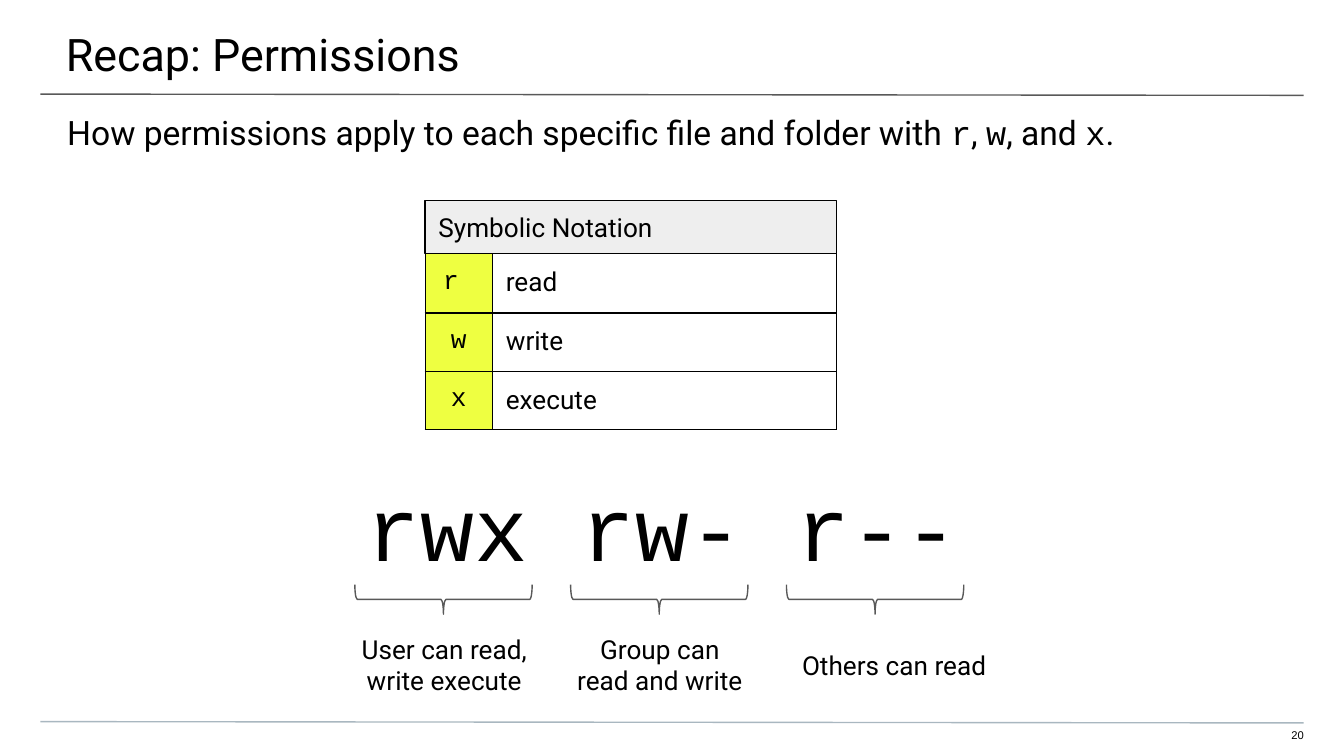
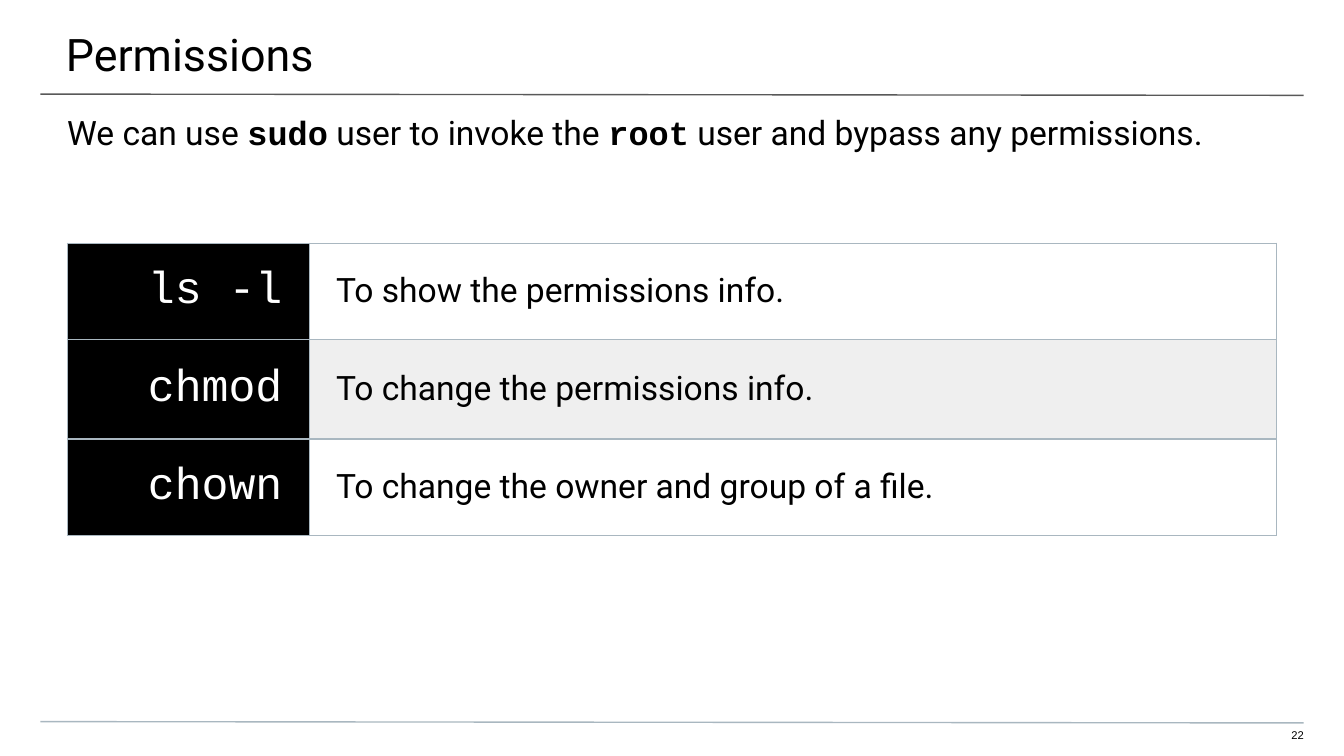
from dataclasses import dataclass

from lxml import etree
from pptx import Presentation
from pptx.dml.color import RGBColor
from pptx.enum.shapes import MSO_CONNECTOR, MSO_SHAPE
from pptx.enum.text import MSO_ANCHOR, PP_ALIGN
from pptx.oxml.ns import qn
from pptx.util import Pt

LEFT, CENTER, RIGHT = PP_ALIGN.LEFT, PP_ALIGN.CENTER, PP_ALIGN.RIGHT
TOP, MIDDLE = MSO_ANCHOR.TOP, MSO_ANCHOR.MIDDLE
STRAIGHT = MSO_CONNECTOR.STRAIGHT
RECTANGLE, LEFT_BRACE = MSO_SHAPE.RECTANGLE, MSO_SHAPE.LEFT_BRACE


@dataclass(frozen=True)
class Theme:
    ink: str = "000000"
    paper: str = "FFFFFF"
    rule: str = "595959"
    soft_rule: str = "A9B7C0"
    key: str = "EEFF41"
    heading: str = "EEEEEE"
    stripe: str = "EFEFEF"
    prose: str = "Roboto"
    code: str = "Courier New"
    footer: str = "Arial"
    number_size: float = 6
    label_size: float = 14
    body_size: float = 18
    title_size: float = 24
    mode_size: float = 48
    hairline: float = 0.75
    inset: float = 7.2


@dataclass(frozen=True)
class Column:
    width: float
    font: str
    size: float
    color: str
    align: int
    fills: tuple


class Deck:
    """Builds slides that share one theme, title style and footer."""

    def __init__(self, theme):
        self.theme = theme
        self.presentation = Presentation()
        self.presentation.slide_width = Pt(720)
        self.presentation.slide_height = Pt(405)
        self.slide = None

    def start(self, title, number, lead):
        t = self.theme
        self.slide = self.presentation.slides.add_slide(self.presentation.slide_layouts[6])
        self.rule(50.4, t.rule)
        self.rule(386.6, t.soft_rule)
        self.text((-0.7, 0, 722, 42), [(title, t.prose)], t.title_size,
                  insets=(36, 14.4, 21.6, 7.2))
        self.text((677.5, 390.2, 20.9, 8.6), [(number, t.footer)], t.number_size,
                  align=RIGHT, insets=(0, 0, 0, 7.2))
        self.text((0, 53, 720, 29), lead, t.body_size, insets=(36, 7.2, 36, 0))

    def rule(self, top, color):
        line = self.slide.shapes.add_connector(
            STRAIGHT, Pt(21.6), Pt(top), Pt(698.4), Pt(top + 0.7))
        self.outline(line, color)
        etree.SubElement(line._element.spPr, qn("a:effectLst"))

    def outline(self, shape, color):
        shape.line.color.rgb = RGBColor.from_string(color)
        shape.line.width = Pt(self.theme.hairline)

    def add_runs(self, frame, runs, size, color, align):
        paragraph = frame.paragraphs[0]
        paragraph.alignment = align
        for words, font, *bold in runs:
            run = paragraph.add_run()
            run.text = words
            run.font.name = font
            run.font.size = Pt(size)
            run.font.bold = bool(bold)
            run.font.color.rgb = RGBColor.from_string(color)

    def fit(self, holder, insets, anchor):
        holder.vertical_anchor = anchor
        (holder.margin_left, holder.margin_top,
         holder.margin_right, holder.margin_bottom) = map(Pt, insets)

    def text(self, box, runs, size, align=LEFT, insets=None):
        frame = self.slide.shapes.add_textbox(*map(Pt, box)).text_frame
        frame.word_wrap = True
        self.fit(frame, insets or (self.theme.inset,) * 4, TOP)
        self.add_runs(frame, runs, size, self.theme.ink, align)

    def banner(self, box, words):
        t = self.theme
        banner = self.slide.shapes.add_shape(RECTANGLE, *map(Pt, box))
        banner.shadow.inherit = False
        banner.fill.solid()
        banner.fill.fore_color.rgb = RGBColor.from_string(t.heading)
        self.outline(banner, t.ink)
        self.fit(banner.text_frame, (t.inset,) * 4, MIDDLE)
        self.add_runs(banner.text_frame, [(words, t.prose)], t.label_size, t.ink, LEFT)

    def brace(self, center_x, center_y, span, depth):
        brace = self.slide.shapes.add_shape(
            LEFT_BRACE, Pt(center_x - depth / 2), Pt(center_y - span / 2), Pt(depth), Pt(span))
        brace.rotation = 270
        brace.shadow.inherit = False
        brace.fill.background()
        self.outline(brace, self.theme.rule)

    def table(self, left, top, heights, columns, rows, border, side_inset, anchor):
        inset = self.theme.inset
        width = sum(column.width for column in columns)
        table = self.slide.shapes.add_table(
            len(rows), len(columns), Pt(left), Pt(top), Pt(width), Pt(sum(heights))).table
        table.first_row = table.horz_banding = False
        for row, height in zip(table.rows, heights):
            row.height = Pt(height)
        for c, column in enumerate(columns):
            table.columns[c].width = Pt(column.width)
            for r, row in enumerate(rows):
                cell = table.cell(r, c)
                self.fit(cell, (side_inset, inset, side_inset, inset), anchor)
                self.add_runs(cell.text_frame, [(row[c], column.font)],
                              column.size, column.color, column.align)
                self.border(cell, border)
                fill = column.fills[r % len(column.fills)]
                if fill:
                    cell.fill.solid()
                    cell.fill.fore_color.rgb = RGBColor.from_string(fill)
                else:
                    cell.fill.background()

    def border(self, cell, color):
        properties = cell._tc.get_or_add_tcPr()
        for side in ("lnL", "lnR", "lnT", "lnB"):
            line = etree.SubElement(properties, qn(f"a:{side}"), w=str(Pt(self.theme.hairline)))
            fill = etree.SubElement(line, qn("a:solidFill"))
            etree.SubElement(fill, qn("a:srgbClr"), val=color)


def recap_slide(deck):
    t = deck.theme
    deck.start("Recap: Permissions", "20", [
        ("How permissions apply to each specific file and folder with ", t.prose),
        ("r", t.code), (", ", t.prose), ("w", t.code),
        (", and ", t.prose), ("x", t.code), (".", t.prose)])
    deck.table(
        227.8, 136, (31.7, 30.5, 30.5),
        (Column(36, t.code, t.label_size, t.ink, CENTER, (t.key,)),
         Column(184.3, t.prose, t.label_size, t.ink, LEFT, (None,))),
        (("r ", "read"), ("w", "write"), ("x", "execute")), t.ink, t.inset, TOP)
    deck.banner((227.8, 107.3, 220.3, 28.7), "Symbolic Notation")
    deck.text((189.4, 245.5, 343.4, 51), [("rwx rw- r--", t.code)], t.mode_size)
    captions = (
        ("User can read, write execute", (182.2, 332, 111.6, 51), CENTER),
        ("Group can read and write", (301.7, 332, 103.7, 51), CENTER),
        ("Others can read", (422.6, 340.6, 115.2, 33), LEFT))
    for index, (caption, box, align) in enumerate(captions):
        deck.brace(237.6 + 115.6 * index, 321.1, 95, 15.8)
        deck.text(box, [(caption, t.prose)], t.label_size, align)


def commands_slide(deck):
    t = deck.theme
    deck.start("Permissions", "22", [
        ("We can use ", t.prose), ("sudo", t.code, True),
        (" user to invoke the ", t.prose), ("root", t.code, True),
        (" user and bypass any permissions.", t.prose)])
    deck.table(
        36, 130.3, (51.6, 53.3, 51.6),
        (Column(129.6, t.code, t.title_size, t.paper, RIGHT, (t.ink,)),
         Column(518.4, t.prose, t.body_size, t.ink, LEFT, (None, t.stripe))),
        (("ls -l", "To show the permissions info."),
         ("chmod", "To change the permissions info."),
         ("chown", "To change the owner and group of a file.")),
        t.soft_rule, 14.4, MIDDLE)


def main():
    deck = Deck(Theme())
    recap_slide(deck)
    commands_slide(deck)
    deck.presentation.save("out.pptx")


if __name__ == "__main__":
    main()
